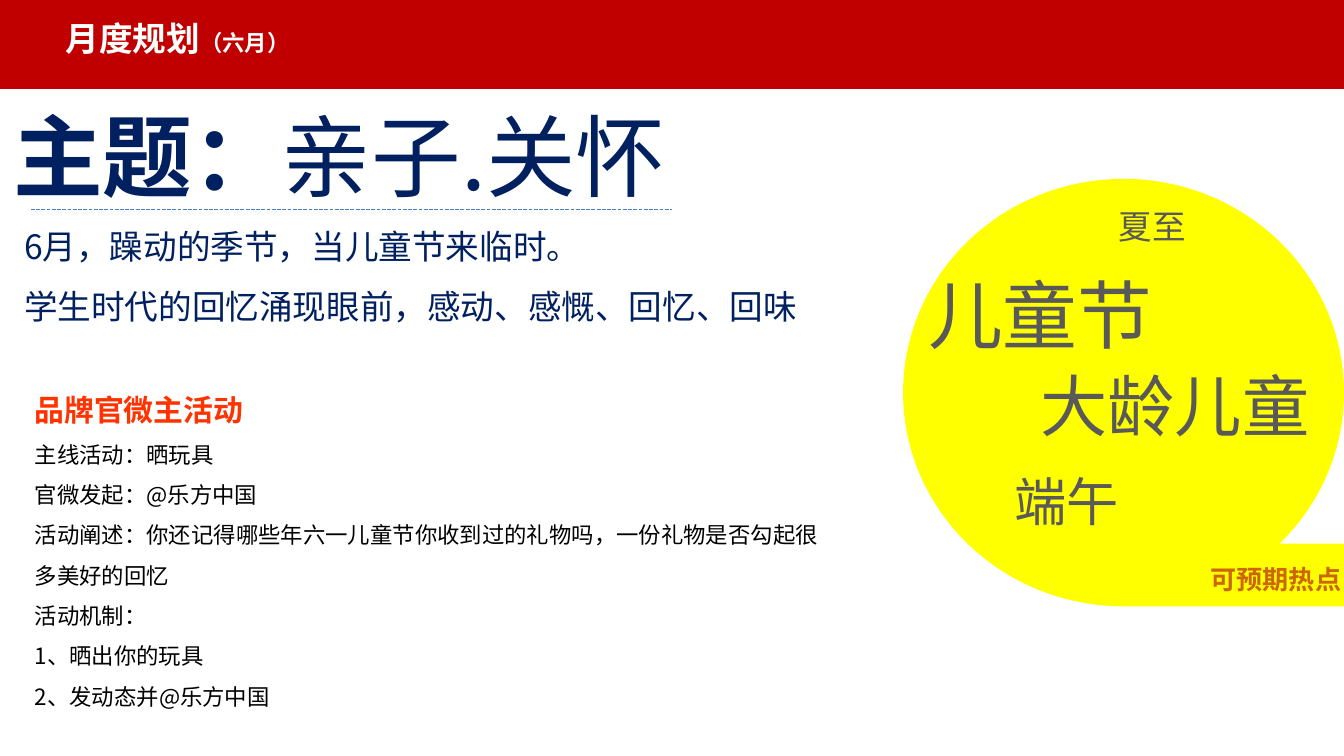
from lxml.etree import SubElement as Sub
from pptx import Presentation
from pptx.dml.color import RGBColor as RGB
from pptx.enum.dml import MSO_LINE as Dash
from pptx.enum.lang import MSO_LANGUAGE_ID as Lang
from pptx.enum.shapes import MSO_CONNECTOR as Link, MSO_SHAPE as Geo
from pptx.enum.text import MSO_AUTO_SIZE as Fit, PP_ALIGN as Align
from pptx.oxml.ns import qn
from pptx.util import Pt

FACE = "Noto Sans CJK SC"
COLORS = {
    "red": "C00000", "white": "FFFFFF", "navy": "002060", "yellow": "FFFF00",
    "brown": "CC6600", "orange": "FF3300", "black": "000000",
    "gray": "595959", "blue": "4B7EBC",
}

# Filled shapes: preset, box, colour
SHAPES = [
    (Geo.RECTANGLE, (0, -1.4, 720, 49), "red"),
    (Geo.FLOWCHART_SEQUENTIAL_ACCESS_STORAGE, (483.8, 95.8, 236.2, 229), "yellow"),
]
RULE = (16.6, 112.3, 360, 112.3)

# Runs: text, size, colour, bold
TITLE = [("月度规划", 18, "white", True), ("（六月）", 12, "white", True)]
THEME = [("主题：", 48, "navy", True), ("亲子.关怀", 48, "navy", False)]
INTRO = ["6月，躁动的季节，当儿童节来临时。",
         "学生时代的回忆涌现眼前，感动、感慨、回忆、回味"]
HEAD = ("品牌官微主活动", 16, "orange", True)
PLAN = [
    "主线活动：晒玩具",
    "官微发起：@乐方中国",
    "活动阐述：你还记得哪些年六一儿童节你收到过的礼物吗，一份礼物是否勾起很多美好的回忆",
    "活动机制：",
    "1、晒出你的玩具",
    "2、发动态并@乐方中国",
]

# Hot topics: text, size, colour, bold, box
TOPICS = [
    ("可预期热点", 14, "brown", True, (593.3, 298.1, 132.5, 24.2)),
    ("儿童节", 40, "gray", False, (463, 140.4, 161.3, 55.7)),
    ("端午", 28, "gray", False, (445, 247.7, 161.3, 41.2)),
    ("夏至", 18, "gray", False, (481, 106.6, 161.3, 36.4)),
    ("大龄儿童", 36, "gray", False, (547.2, 191.5, 161.3, 50.9)),
]


def tint(name):
    return RGB.from_string(COLORS[name])


def add_text(box, paras, align=Align.LEFT, gap=1.0):
    frame = slide.shapes.add_textbox(*map(Pt, box)).text_frame
    frame.word_wrap = True
    frame.auto_size = Fit.SHAPE_TO_FIT_TEXT
    for i, runs in enumerate(paras):
        para = frame.add_paragraph() if i else frame.paragraphs[0]
        para.alignment = align
        para.line_spacing = gap
        for text, size, color, bold in runs:
            run = para.add_run()
            run.text = text
            font = run.font
            font.size, font.bold, font.name = Pt(size), bold, FACE
            font.language_id = Lang.SIMPLIFIED_CHINESE
            font.color.rgb = tint(color)
            # East Asian typeface
            Sub(run._r.get_or_add_rPr(), qn("a:ea"), typeface=FACE)


deck = Presentation()
deck.slide_width, deck.slide_height = Pt(720), Pt(405)
slide = deck.slides.add_slide(deck.slide_layouts[6])

# Header band and yellow bubble
for geo, box, color in SHAPES:
    shape = slide.shapes.add_shape(geo, *map(Pt, box))
    shape.shadow.inherit = False
    shape.fill.solid()
    shape.fill.fore_color.rgb = tint(color)
    shape.line.fill.background()

# Dashed rule under the theme
rule = slide.shapes.add_connector(Link.STRAIGHT, *map(Pt, RULE))
rule.line.color.rgb = tint("blue")
rule.line.width = Pt(0.25)
rule.line.dash_style = Dash.LONG_DASH
Sub(rule._element.spPr, qn("a:effectLst"))

# Title, theme, intro and plan
add_text((28.1, 5.8, 163.4, 28.8), [TITLE])
add_text((0, 50.4, 408.2, 65.5), [THEME])
add_text((5.8, 106.6, 455.8, 72.7),
         [[(line, 18, "navy", False)] for line in INTRO], gap=1.5)
add_text((11.5, 196.6, 444.2, 188.6),
         [[HEAD]] + [[(line, 12, "black", False)] for line in PLAN], gap=1.5)

# Hot topics
for *run, box in TOPICS:
    add_text(box, [[run]], Align.RIGHT)

deck.save("out.pptx")
